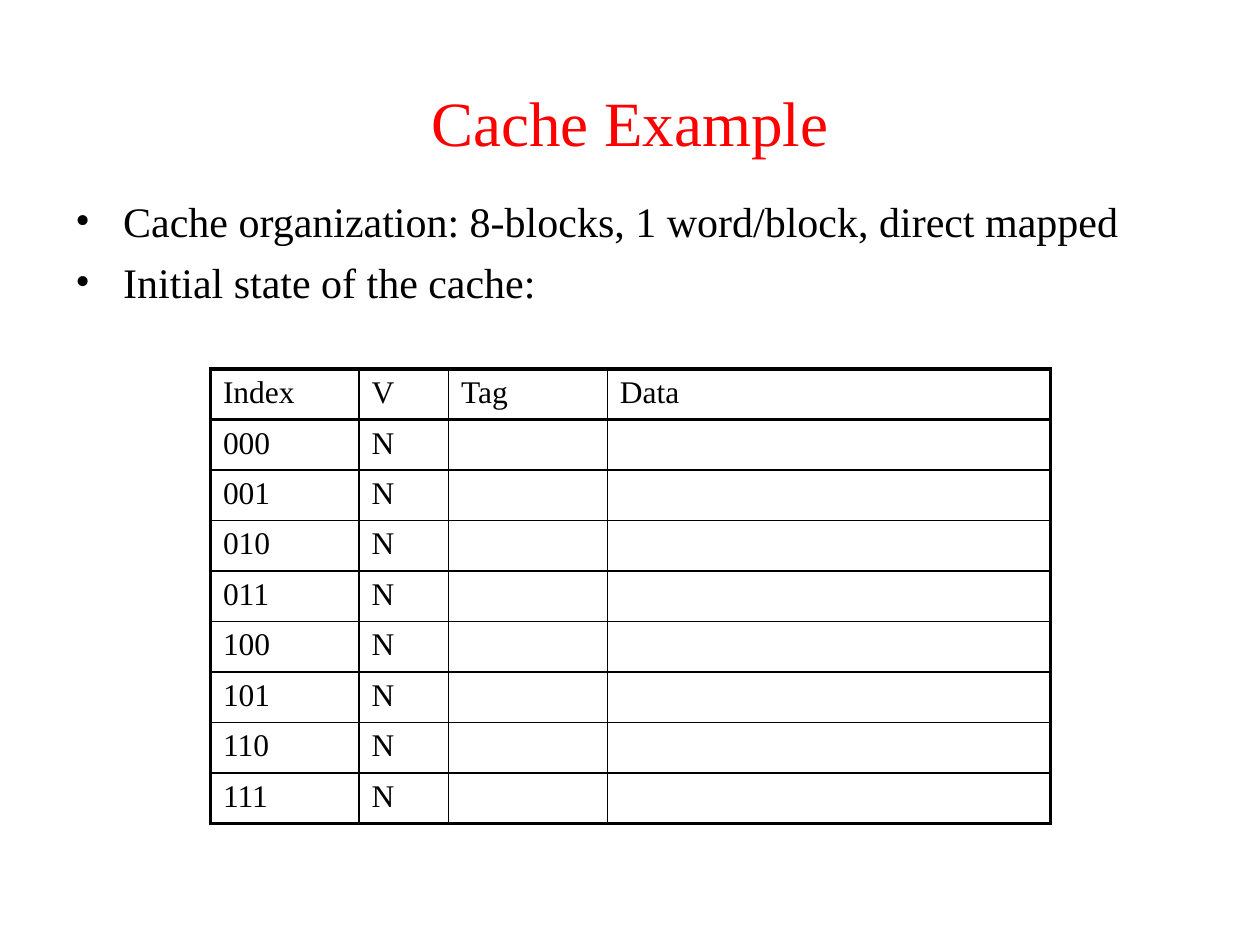
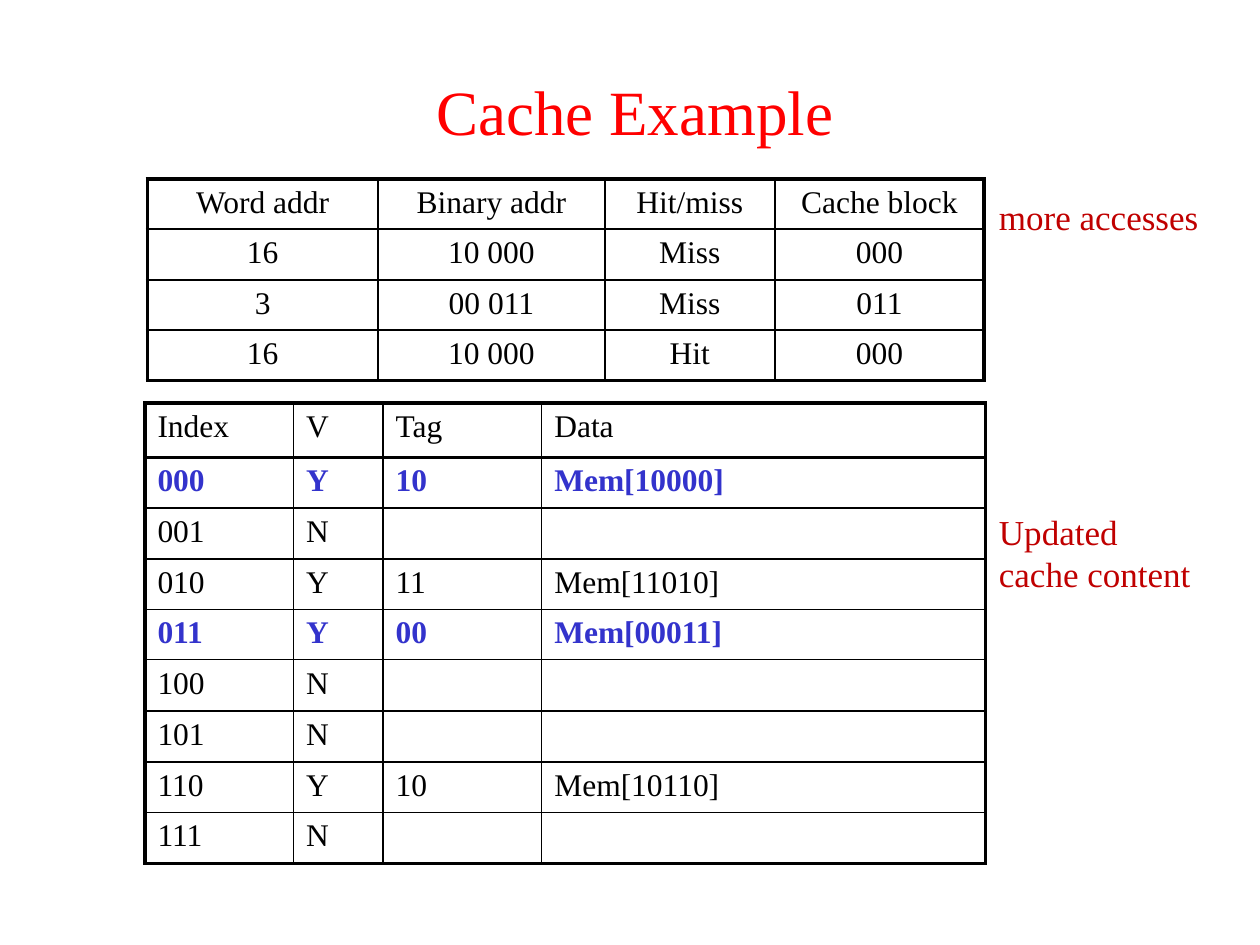
from dataclasses import dataclass

from lxml.etree import SubElement
from pptx import Presentation
from pptx.dml.color import RGBColor
from pptx.enum.text import MSO_ANCHOR, MSO_AUTO_SIZE, PP_ALIGN
from pptx.oxml.ns import qn
from pptx.util import Emu, Pt

EMU_PER_PX = 9144


@dataclass(frozen=True)
class Theme:
    """Colours, type sizes and rule weights shared by the slides."""
    font: str = "Times New Roman"
    title_color: str = "FF0000"
    text_color: str = "000000"
    updated_color: str = "3333CC"
    note_color: str = "C00000"
    background: str = "FFFFFF"
    title_size: int = 36
    bullet_size: int = 24
    note_size: int = 20
    cell_size: int = 18
    frame_rule: float = 2.25
    header_rule: float = 1.5
    inner_rule: float = 1


THEME = Theme()
CACHE_COLUMNS = (118, 71, 126, 352)
CACHE_HEADER = ("Index", "V", "Tag", "Data")
ACCESS_ROWS = (
    ("Word addr", "Binary addr", "Hit/miss", "Cache block"),
    ("16", "10 000", "Miss", "000"),
    ("3", "00 011", "Miss", "011"),
    ("16", "10 000", "Hit", "000"),
)


def px(length):
    """Turn px into EMU."""
    return Emu(length * EMU_PER_PX)


def add_run(paragraph, text, size, color, bold=False):
    """Add one formatted run."""
    run = paragraph.add_run()
    run.text = text
    run.font.name = THEME.font
    run.font.size = Pt(size)
    run.font.bold = bold
    run.font.color.rgb = RGBColor.from_string(color)


def add_titled_slide(presentation, title, left, top, width, height):
    """Add a title-only slide and place its centred title."""
    slide = presentation.slides.add_slide(presentation.slide_layouts[5])
    slide.background.fill.solid()
    slide.background.fill.fore_color.rgb = RGBColor.from_string(THEME.background)
    shape = slide.shapes.title
    shape.left, shape.top = px(left), px(top)
    shape.width, shape.height = px(width), px(height)
    frame = shape.text_frame
    frame.auto_size = MSO_AUTO_SIZE.NONE
    frame.vertical_anchor = MSO_ANCHOR.MIDDLE
    paragraph = frame.paragraphs[0]
    paragraph.alignment = PP_ALIGN.CENTER
    add_run(paragraph, title, THEME.title_size, THEME.title_color)
    return slide


def add_text_frame(slide, left, top, width, height):
    """Add a wrapping text box and return its frame."""
    shape = slide.shapes.add_textbox(px(left), px(top), px(width), px(height))
    shape.text_frame.word_wrap = True
    return shape.text_frame


def add_bullets(slide, items, left, top, width, height):
    """Add a bulleted list with a hanging indent."""
    frame = add_text_frame(slide, left, top, width, height)
    for number, item in enumerate(items):
        paragraph = frame.add_paragraph() if number else frame.paragraphs[0]
        paragraph.space_before = Pt(6)
        properties = paragraph._p.get_or_add_pPr()
        properties.set("marL", str(px(38)))
        properties.set("indent", str(-px(38)))
        SubElement(properties, qn("a:buFont"), typeface=THEME.font)
        SubElement(properties, qn("a:buChar"), char="•")
        add_run(paragraph, item, THEME.bullet_size, THEME.text_color)


def add_note(slide, text, top, height):
    """Add a red note in the right margin."""
    frame = add_text_frame(slide, 783, top, 183, height)
    frame.auto_size = MSO_AUTO_SIZE.SHAPE_TO_FIT_TEXT
    add_run(frame.paragraphs[0], text, THEME.note_size, THEME.note_color)


def set_borders(cell, left, right, top, bottom):
    """Draw the four borders of a cell with the given weights."""
    properties = cell._tc.get_or_add_tcPr()
    for side, weight in zip("LRTB", (left, right, top, bottom)):
        line = SubElement(properties, qn(f"a:ln{side}"), w=str(Pt(weight)))
        fill = SubElement(line, qn("a:solidFill"))
        SubElement(fill, qn("a:srgbClr"), val=THEME.text_color)


def add_ruled_table(slide, rows, columns, left, top, header_height=40,
                    row_rule=THEME.inner_rule, alignment=PP_ALIGN.LEFT, updated=()):
    """Add a framed table, with the rows indexed in updated emphasised."""
    heights = [header_height] + [40] * (len(rows) - 1)
    table = slide.shapes.add_table(len(rows), len(columns), px(left), px(top),
                                   px(sum(columns)), px(sum(heights))).table
    table.first_row = table.horz_banding = False
    for column, width in zip(table.columns, columns):
        column.width = px(width)
    for row, height in zip(table.rows, heights):
        row.height = px(height)
    frame, inner = THEME.frame_rule, THEME.inner_rule
    across = [frame, THEME.header_rule] + [row_rule] * (len(rows) - 2) + [frame]
    down = [frame] + [inner] * (len(columns) - 1) + [frame]
    for row_number, texts in enumerate(rows):
        is_updated = texts[0] in updated
        color = THEME.updated_color if is_updated else THEME.text_color
        for column_number, text in enumerate(texts):
            cell = table.cell(row_number, column_number)
            set_borders(cell, *down[column_number:column_number + 2],
                        *across[row_number:row_number + 2])
            cell.fill.background()
            paragraph = cell.text_frame.paragraphs[0]
            paragraph.alignment = alignment
            if text:
                add_run(paragraph, text, THEME.cell_size, color, is_updated)


def cache_rows(tags):
    """List the eight cache blocks, valid where a tag is given."""
    rows = [CACHE_HEADER]
    for block in range(8):
        index = f"{block:03b}"
        tag = tags.get(index)
        rows.append((index, "Y", tag, f"Mem[{tag}{index}]") if tag
                    else (index, "N", "", ""))
    return rows


def add_initial_state(presentation):
    """Build the slide with the empty cache."""
    slide = add_titled_slide(presentation, "Cache Example", 75, 67, 850, 58)
    add_bullets(slide, ("Cache organization: 8-blocks, 1 word/block, direct mapped",
                        "Initial state of the cache:"), 50, 150, 850, 118)
    add_ruled_table(slide, cache_rows({}), CACHE_COLUMNS, 167, 293)


def add_more_accesses(presentation):
    """Build the slide with three accesses and the updated cache."""
    slide = add_titled_slide(presentation, "Cache Example", 75, 50, 858, 75)
    tags = {"000": "10", "010": "11", "011": "00", "110": "10"}
    add_ruled_table(slide, cache_rows(tags), CACHE_COLUMNS, 115, 320,
                    header_height=43, updated=("000", "011"))
    add_ruled_table(slide, ACCESS_ROWS, (183, 180, 135, 166), 117, 142,
                    row_rule=THEME.header_rule, alignment=PP_ALIGN.CENTER)
    add_note(slide, "more accesses", 150, 44)
    add_note(slide, "Updated cache content", 400, 77)


def main():
    """Build and save the presentation."""
    presentation = Presentation()
    presentation.slide_width, presentation.slide_height = px(1000), px(750)
    add_initial_state(presentation)
    add_more_accesses(presentation)
    presentation.save("out.pptx")


if __name__ == "__main__":
    main()
